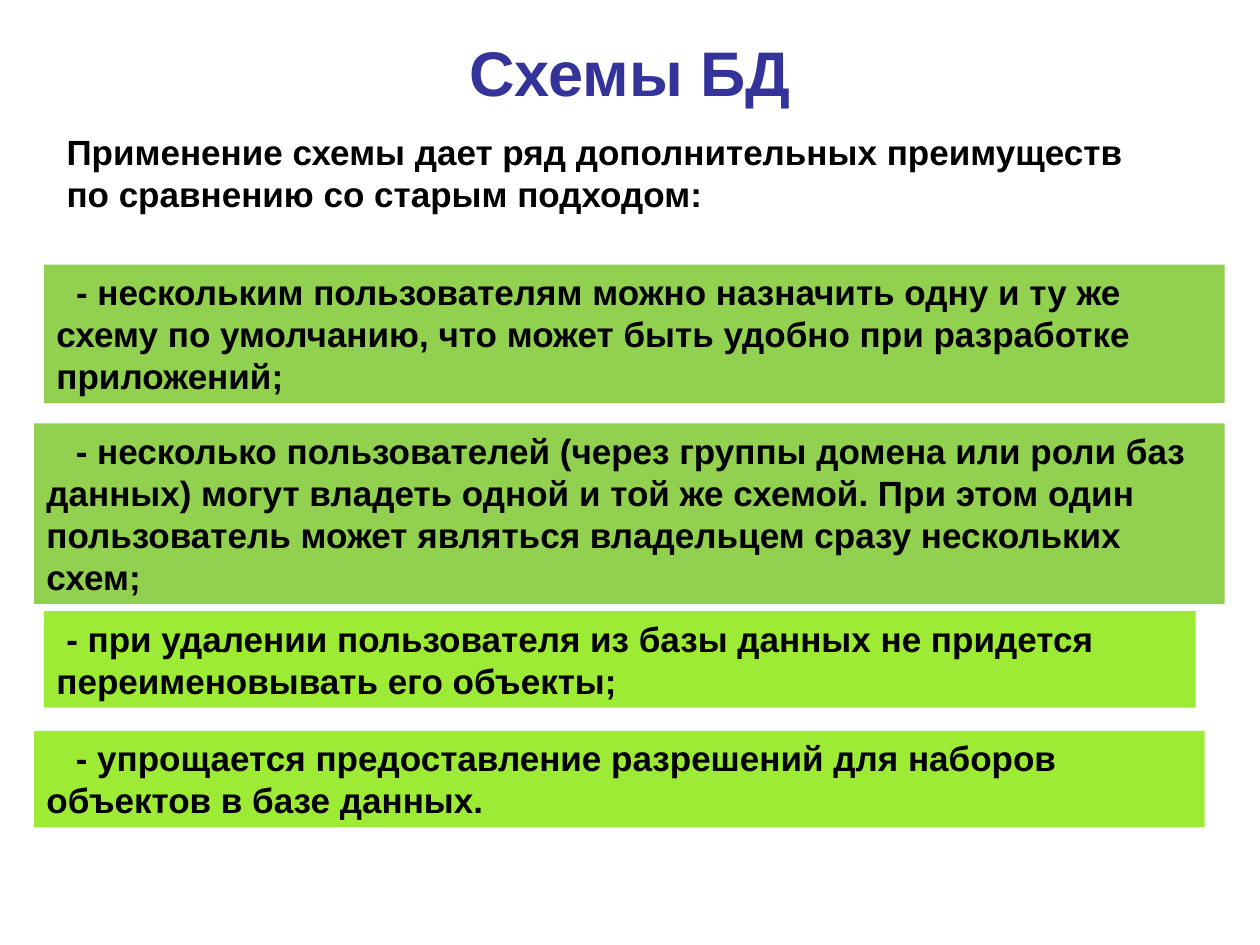
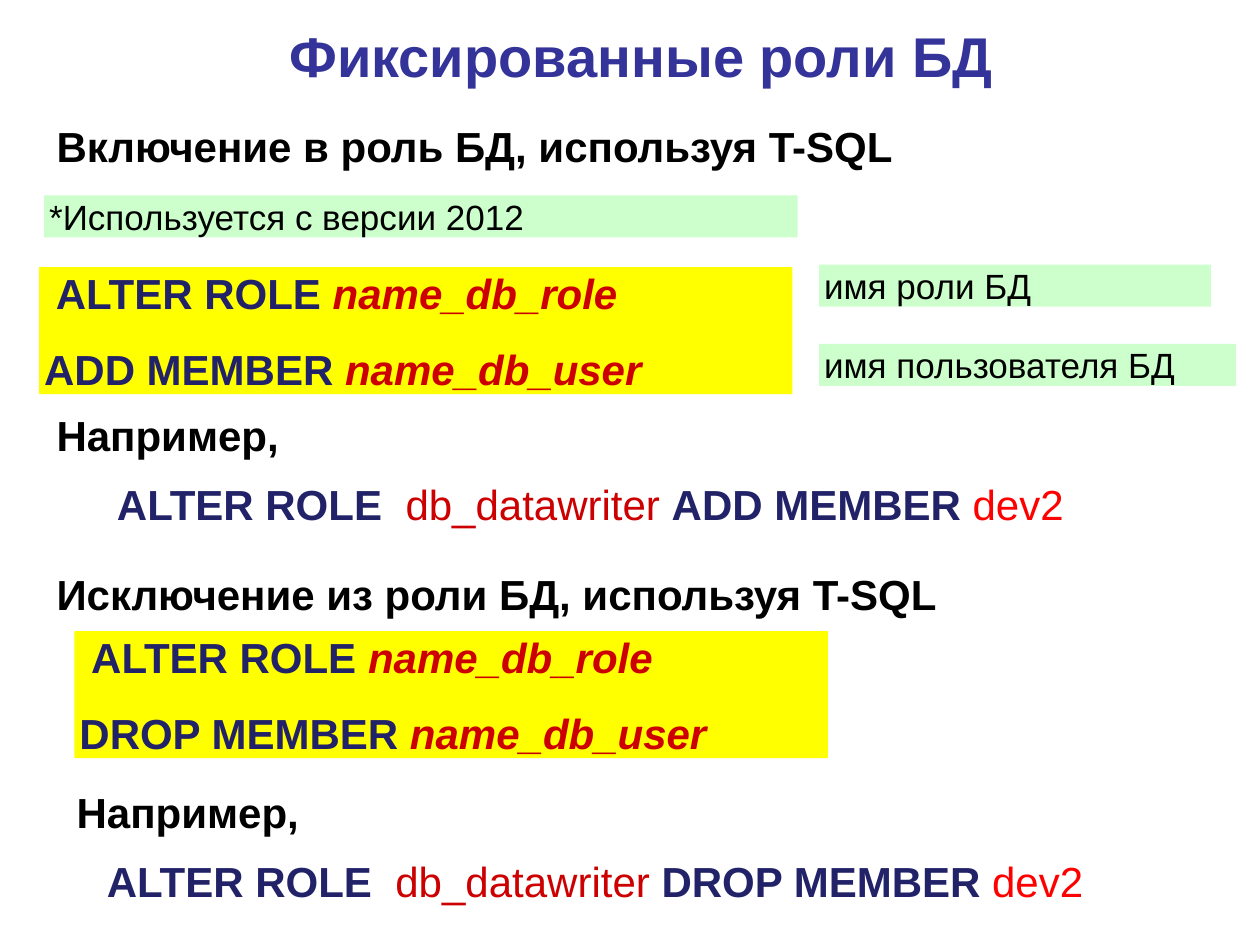
import pptx
import pptx.util
import pptx.dml.color
import pptx.enum.shapes
import pptx.enum.text

W, H = 10, 7.5
FONT = "Arial"
TITLE, BLACK, KEYWORD, NAME, USER = "333399", "000000", "222268", "CC0000", "FF0000"
GREEN, LIME, MINT, YELLOW = "92D050", "9DEB35", "CCFFCC", "FFFF00"

# Styles: size, bold, side inset, top inset, first-line space is never used
STYLES = {
    "point": dict(size=20, bold=True, inset=(0.1, 0.05)),
    "heading": dict(size=24, bold=True, inset=(0.1, 0.05)),
    "note": dict(size=20, bold=False, inset=(0.04, 0)),
    "syntax": dict(size=24, bold=True, inset=(0.04, 0)),
}
GAP = 15        # points between paragraphs
LINE = 1.2      # line height as a share of the text size


# Content: a run is (text, colour, bold, italic); a plain string is black
def syntax(action):
    return [[("ALTER ROLE ", KEYWORD, True, False), ("name_db_role", NAME, True, True)],
            [(f"{action} MEMBER ", KEYWORD, True, False), ("name_db_user", NAME, True, True)]]


def example(action):
    return [[("ALTER ROLE  ", KEYWORD, True, False), ("db_datawriter ", NAME, False, False),
             (f"{action} MEMBER", KEYWORD, True, False), (" dev2", USER, False, False)]]


# Box: style, left %, top %, width %, lines, fill, leading spaces, content
SLIDES = [
    dict(title="Схемы БД", size=36, left=5, top=3.6, boxes=[
        ("point", 4.3, 13.2, 89.4, 2, None, 0,
         "Применение схемы дает ряд дополнительных преимуществ по сравнению со старым подходом:"),
        ("point", 3.5, 28, 93.7, 3, GREEN, 2,
         "- нескольким пользователям можно назначить одну и ту же схему по умолчанию, "
         "что может быть удобно при разработке приложений;"),
        ("point", 2.7, 44.8, 94.5, 4, GREEN, 3,
         "- несколько пользователей (через группы домена или роли баз данных) могут владеть "
         "одной и той же схемой. При этом один пользователь может являться владельцем "
         "сразу нескольких схем;"),
        ("point", 3.5, 64.67, 91.4, 2, LIME, 1,
         "- при удалении пользователя из базы данных не придется переименовывать его объекты;"),
        ("point", 2.7, 77.33, 92.9, 2, LIME, 3,
         "- упрощается предоставление разрешений для наборов объектов в базе данных."),
    ]),
    dict(title="Фиксированные роли БД", size=32, left=5.9, top=2.24, boxes=[
        ("heading", 3.5, 12.13, 92.1, 1, None, 0, "Включение в роль БД, используя T-SQL"),
        ("note", 3.5, 20.67, 59.8, 1, MINT, 0, "*Используется с версии 2012"),
        ("syntax", 3.1, 28.27, 59.8, 2, YELLOW, 1, syntax("ADD")),
        ("note", 65, 28, 31.1, 1, MINT, 0, "имя роли БД"),
        ("note", 65, 36.4, 33.1, 1, MINT, 0, "имя пользователя БД"),
        ("heading", 3.5, 42.67, 28.8, 1, None, 0, "Например,"),
        ("heading", 8.3, 50, 85.1, 1, None, 0, example("ADD")),
        ("heading", 3.5, 59.47, 92.1, 1, None, 0, "Исключение из роли БД, используя T-SQL"),
        ("syntax", 5.9, 66.8, 59.8, 2, YELLOW, 1, syntax("DROP")),
        ("heading", 5.1, 82.53, 28.8, 1, None, 0, "Например,"),
        ("heading", 7.5, 89.87, 84.3, 1, None, 0, example("DROP")),
    ]),
]


def rgb(hex_code):
    return pptx.dml.color.RGBColor.from_string(hex_code)


def add_run(p, text, size, color, bold, italic=False):
    r = p.add_run()
    r.text = text
    r.font.name, r.font.size = FONT, pptx.util.Pt(size)
    r.font.bold, r.font.italic = bold, italic
    r.font.color.rgb = rgb(color)


def add_frame(s, left, top, width, height, fill=None, inset=(0, 0)):
    """Place a text frame: left, top and width in % of the slide, height in inches."""
    at = [pptx.util.Inches(v) for v in (left * W / 100, top * H / 100, width * W / 100, height)]
    if fill:
        sp = s.shapes.add_shape(pptx.enum.shapes.MSO_SHAPE.RECTANGLE, *at)
        sp.shadow.inherit = False
        sp.fill.solid()
        sp.fill.fore_color.rgb = rgb(fill)
        sp.line.fill.background()
    else:
        sp = s.shapes.add_textbox(*at)
    tf = sp.text_frame
    tf.word_wrap = True
    tf.vertical_anchor = pptx.enum.text.MSO_ANCHOR.TOP
    tf.margin_left = tf.margin_right = pptx.util.Inches(inset[0])
    tf.margin_top = tf.margin_bottom = pptx.util.Inches(inset[1])
    return tf


def add_title(s, text, size, left, top):
    tf = add_frame(s, left, top, 90, size * LINE / 72)
    p = tf.paragraphs[0]
    p.alignment = pptx.enum.text.PP_ALIGN.CENTER
    add_run(p, text, size, TITLE, True)


def add_box(s, style, left, top, width, lines, fill, spaces, content):
    size, bold, inset = (STYLES[style][k] for k in ("size", "bold", "inset"))
    paragraphs = [[(content, BLACK, bold, False)]] if isinstance(content, str) else content
    points = lines * size * LINE + (len(paragraphs) - 1) * GAP
    tf = add_frame(s, left, top, width, points / 72 + 2 * inset[1], fill, inset)
    for i, runs in enumerate(paragraphs):
        p = tf.paragraphs[0] if i == 0 else tf.add_paragraph()
        p.alignment = pptx.enum.text.PP_ALIGN.LEFT
        if i:
            p.space_before = pptx.util.Pt(GAP)
        elif spaces:  # first-line indent as wide as the given count of spaces
            pPr = p._p.get_or_add_pPr()
            pPr.set("marL", "0")
            pPr.set("indent", str(pptx.util.Pt(spaces * size * 0.28)))
        for text, color, run_bold, italic in runs:
            add_run(p, text, size, color, run_bold, italic)


def main():
    prs = pptx.Presentation()
    prs.slide_width, prs.slide_height = pptx.util.Inches(W), pptx.util.Inches(H)
    for page in SLIDES:
        s = prs.slides.add_slide(prs.slide_layouts[6])
        add_title(s, page["title"], page["size"], page["left"], page["top"])
        for box in page["boxes"]:
            add_box(s, *box)
    prs.save("out.pptx")


if __name__ == "__main__":
    main()
